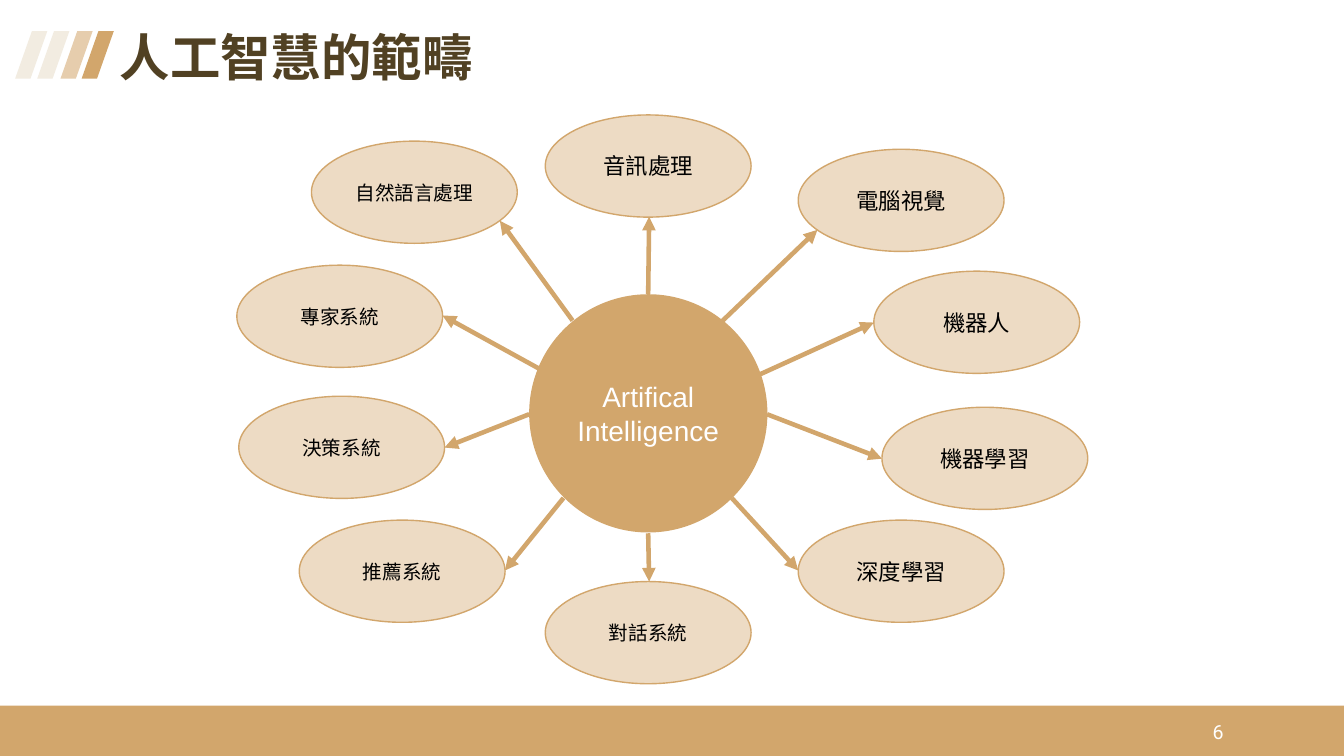
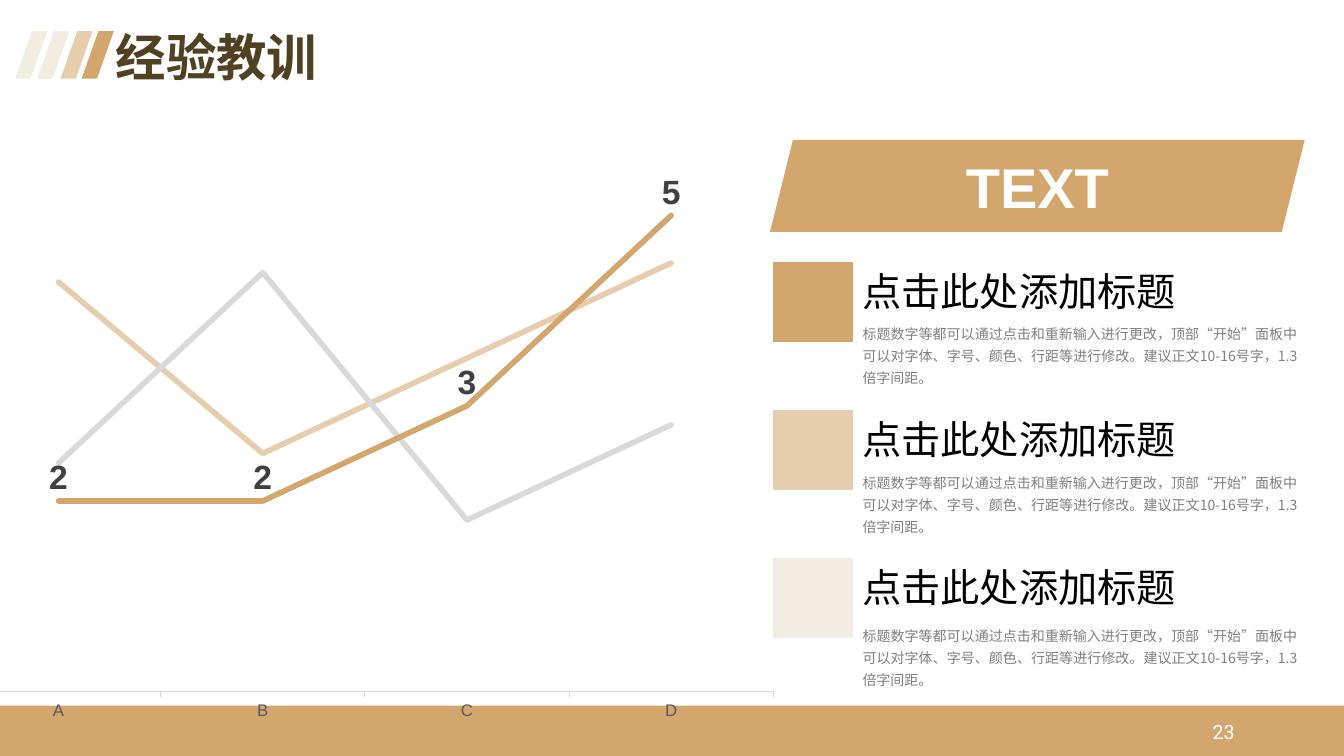
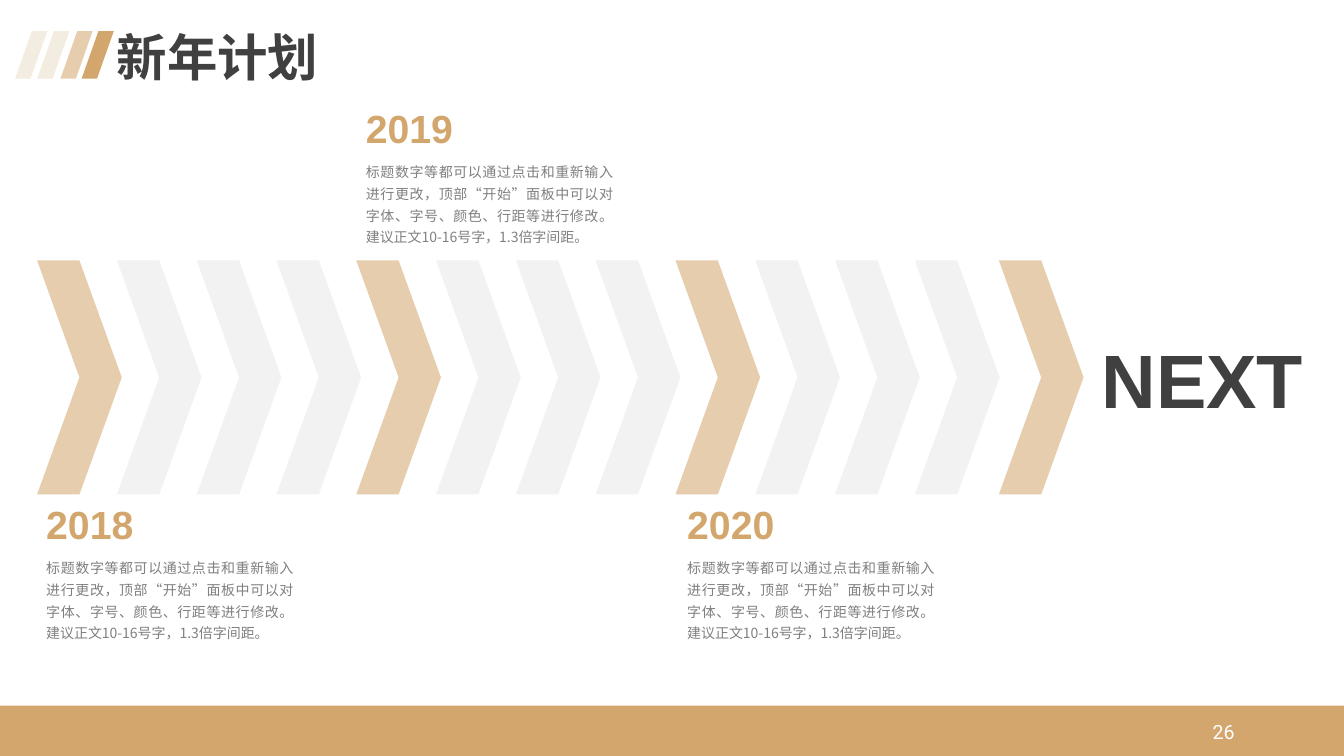
"""Build three slides: fields of AI, lessons learned and plans for the new year."""
import pptx
import pptx.chart.data
import pptx.dml.color
import pptx.enum.chart
import pptx.enum.shapes
import pptx.enum.text
import pptx.oxml.ns
import pptx.oxml.xmlchemy
import pptx.util
import lxml.etree

Pt = pptx.util.Pt
qn = pptx.oxml.ns.qn
SHAPE = pptx.enum.shapes.MSO_SHAPE
ALIGN = pptx.enum.text.PP_ALIGN
ANCHOR = pptx.enum.text.MSO_ANCHOR

THEME = {
    "colour": {
        "gold": "D2A66C", "sand": "E6CDAD", "cream": "F2ECE1", "beige": "EDDBC4",
        "brown": "514123", "dark": "404040", "axis_text": "595959", "grey": "808080",
        "rule": "D9D9D9", "pale": "F2F2F2", "white": "FFFFFF", "black": "000000",
    },
    "type": {
        "title": ("Arial", 36, "brown", True),
        "dark_title": ("Arial", 36, "dark", True),
        "page_number": ("Roboto", 14, "white", False),
        "hub": ("Arial", 20, "white", False),
        "topic": ("Arial", 16, "black", False),
        "small_topic": ("Arial", 14, "black", False),
        "banner": ("Arial", 40, "white", True),
        "heading": ("Arial", 28, "black", False),
        "year": ("Arial", 28, "gold", True),
        "body": ("Noto Sans CJK SC", 10, "grey", False),
        "next": ("Arial", 54, "dark", True),
        "chart": ("Arial", 10, "black", False),
        "axis": ("Arial", 12, "axis_text", False),
        "value": ("Arial", 24, "dark", True),
    },
    "east_asian": "Noto Sans CJK SC",
}

STRIPES = [(58.3, "gold"), (43.2, "sand"), (26.6, "cream"), (10.8, "cream")]
BODY = ("标题数字等都可以通过点击和重新输入进行更改，顶部“开始”面板中可以对字体、"
        "字号、颜色、行距等进行修改。建议正文10-16号字，1.3倍字间距。")

HUB = ("Artifical Intelligence", (378, 210.2, 170.2, 170.2))
TOPIC_SIZE = (147, 73)
TOPICS = [
    ("機器學習", "topic", (630, 290.9), (547.9, 295.9), (630, 327.6)),
    ("機器人", "topic", (624.2, 193.7), (537.1, 270), (624.2, 230.4)),
    ("電腦視覺", "topic", (570.2, 106.6), (514.8, 230.4), (583.9, 164.2)),
    ("音訊處理", "topic", (389.5, 82.1), (463, 210.2), (463.7, 154.8)),
    ("自然語言處理", "small_topic", (222.5, 100.8), (409, 229), (357.1, 157.7)),
    ("專家系統", "small_topic", (169.2, 189.4), (388.1, 265), (316.1, 225.4)),
    ("決策系統", "small_topic", (170.6, 283), (378, 295.9), (317.5, 319.7)),
    ("推薦系統", "small_topic", (213.8, 371.5), (402.5, 355.7), (360.7, 407.5)),
    ("深度學習", "topic", (570.2, 371.5), (522.7, 355.7), (570.2, 407.5)),
    ("對話系統", "small_topic", (389.5, 415.4), (463, 380.9), (463.7, 415.4)),
]

CATEGORIES = ["A", "B", "C", "D"]
SERIES = [
    ("Series 1", (4.3, 2.5, 3.5, 4.5), "sand"),
    ("Series 2", (2.4, 4.4, 1.8, 2.8), "rule"),
    ("Series 3", (2, 2, 3, 5), "gold"),
]
LABELLED = "Series 3"
LESSONS = [
    ("点击此处添加标题", "gold", 225.4),
    ("点击此处添加标题", "sand", 331.9),
    ("点击此处添加标题", "cream", 441.4),
]
LESSON_TOP, LESSON_PITCH = 187.2, 105.7

CHEVRON_LEFT, CHEVRON_PITCH, CHEVRON_COUNT = 26.5, 57, 12
CHEVRON_END = 713.5
YEARS = [("2018", 25.9, 354.2), ("2020", 483.8, 354.2), ("2019", 254.2, 71.3)]


def colour(name):
    return pptx.dml.color.RGBColor.from_string(THEME["colour"][name])


def apply(target, **values):
    for name, value in values.items():
        setattr(target, name, value)


def set_font(font, style):
    name, size, tint, bold = THEME["type"][style]
    apply(font, name=name, size=Pt(size), bold=bold)
    font.color.rgb = colour(tint)


def write(box, text, style, align=ALIGN.LEFT, anchor=ANCHOR.TOP, wrap=True, spacing=None):
    apply(box.text_frame, word_wrap=wrap, vertical_anchor=anchor)
    para = box.text_frame.paragraphs[0]
    apply(para, alignment=align, line_spacing=spacing)
    span = para.add_run()
    span.text = text
    set_font(span.font, style)
    properties = span.font.fill  # noqa
    run_properties = box.element.find(".//" + qn("a:rPr"))
    east_asian = lxml.etree.SubElement(run_properties, qn("a:ea"))
    east_asian.set("typeface", THEME["east_asian"])


def add_box(page, place, text, style, **layout):
    box = page.shapes.add_textbox(*map(Pt, place))
    write(box, text, style, **layout)


def add_shape(page, kind, place, fill, line=None, adjust=None):
    shape = page.shapes.add_shape(kind, *map(Pt, place))
    shape.shadow.inherit = False
    shape.fill.solid()
    shape.fill.fore_color.rgb = colour(fill)
    if line:
        shape.line.color.rgb = colour(line)
        shape.line.width = Pt(1)
    else:
        shape.line.fill.background()
    if adjust is not None:
        shape.adjustments[0] = adjust
    return shape


def add_arrow(page, start, tip):
    arrow = page.shapes.add_connector(
        pptx.enum.shapes.MSO_CONNECTOR.STRAIGHT, *map(Pt, start + tip))
    arrow.line.color.rgb = colour("gold")
    arrow.line.width = Pt(3.25)
    properties = arrow.element.find(qn("p:spPr"))
    head = lxml.etree.SubElement(properties.find(qn("a:ln")), qn("a:tailEnd"))
    head.set("type", "triangle")
    lxml.etree.SubElement(properties, qn("a:effectLst"))


def add_page(deck, title, number, left, style="title"):
    page = deck.slides.add_slide(deck.slide_layouts[6])
    add_shape(page, SHAPE.RECTANGLE, (0, 504, 960, 36), "gold")
    add_box(page, (859, 510.5, 30.2, 29.5), number, "page_number", wrap=False)
    for stripe_left, fill in STRIPES:
        add_shape(page, SHAPE.PARALLELOGRAM, (stripe_left, 22.2, 23, 34), fill, adjust=0.522)
    add_box(page, (left, 19.4, 734, 46.8), title, style, anchor=ANCHOR.MIDDLE, spacing=0.9)
    return page


def add_topics(page):
    centred = {"align": ALIGN.CENTER, "anchor": ANCHOR.MIDDLE}
    text, place = HUB
    write(add_shape(page, SHAPE.OVAL, place, "gold"), text, "hub", **centred)
    for text, style, corner, start, tip in TOPICS:
        add_arrow(page, start, tip)
        topic = add_shape(page, SHAPE.OVAL, corner + TOPIC_SIZE, "beige", line="gold")
        write(topic, text, style, **centred)


def add_line_chart(page):
    data = pptx.chart.data.CategoryChartData()
    data.categories = CATEGORIES
    for name, values, _ in SERIES:
        data.add_series(name, values)
    chart = page.shapes.add_chart(
        pptx.enum.chart.XL_CHART_TYPE.LINE, *map(Pt, (-43.2, 77, 607.7, 445.7)), data).chart
    apply(chart, has_legend=False, has_title=False)
    set_font(chart.font, "chart")
    apply(chart.value_axis, visible=False, has_major_gridlines=False,
          minimum_scale=0, maximum_scale=6)
    axis = chart.category_axis
    apply(axis, has_major_gridlines=False,
          major_tick_mark=pptx.enum.chart.XL_TICK_MARK.OUTSIDE)
    set_font(axis.tick_labels.font, "axis")
    axis.format.line.color.rgb = colour("rule")
    axis.format.line.width = Pt(0.75)
    chart.plots[0].vary_by_categories = False
    for series, (name, _, tint) in zip(chart.plots[0].series, SERIES):
        series.smooth = False
        series.marker.style = pptx.enum.chart.XL_MARKER_STYLE.NONE
        series.format.line.color.rgb = colour(tint)
        series.format.line.width = Pt(4)
        series.format.line.fill.solid()
        series.format.line.fill.fore_color.rgb = colour(tint)
        for outline in series._element.iter(qn("a:ln")):
            outline.set("cap", "rnd")
        if name == LABELLED:
            apply(series.data_labels, show_value=True,
                  position=pptx.enum.chart.XL_LABEL_POSITION.ABOVE)
            set_font(series.data_labels.font, "value")


def add_body(page, place):
    add_box(page, place, BODY, "body", align=ALIGN.JUSTIFY, spacing=1.3)


def add_lessons(page):
    banner = add_shape(page, SHAPE.PARALLELOGRAM, (550, 100, 382, 65.7), "gold")
    write(banner, "TEXT", "banner", align=ALIGN.CENTER, anchor=ANCHOR.MIDDLE)
    for row, (heading, fill, body_top) in enumerate(LESSONS):
        top = LESSON_TOP + row * LESSON_PITCH
        add_shape(page, SHAPE.RECTANGLE, (552.2, top, 57, 57), fill)
        add_box(page, (609, top, 240.5, 41), heading, "heading", wrap=False)
        add_body(page, (609, body_top, 324.7, 54.7))


def add_timeline(page):
    lefts = [CHEVRON_LEFT + i * CHEVRON_PITCH for i in range(CHEVRON_COUNT)] + [CHEVRON_END]
    for i, left in enumerate(lefts):
        fill = "pale" if i % 4 else "sand"
        add_shape(page, SHAPE.CHEVRON, (left, 186, 60.5, 167.2), fill)
    for year, left, top in YEARS:
        add_box(page, (left, top, 77.8, 41), year, "year", wrap=False)
        add_body(page, (left, top + 38.2, 190.8, 70.6))
    add_box(page, (779.8, 234, 159.8, 72.7), "NEXT", "next", align=ALIGN.JUSTIFY, wrap=False)


def main():
    deck = pptx.Presentation()
    apply(deck, slide_width=Pt(960), slide_height=Pt(540))
    add_topics(add_page(deck, "人工智慧的範疇", "6", 78.5))
    lessons = add_page(deck, "经验教训", "23", 75.6)
    add_line_chart(lessons)
    add_lessons(lessons)
    add_timeline(add_page(deck, "新年计划", "26", 76.3, "dark_title"))
    deck.save("out.pptx")


if __name__ == "__main__":
    main()
